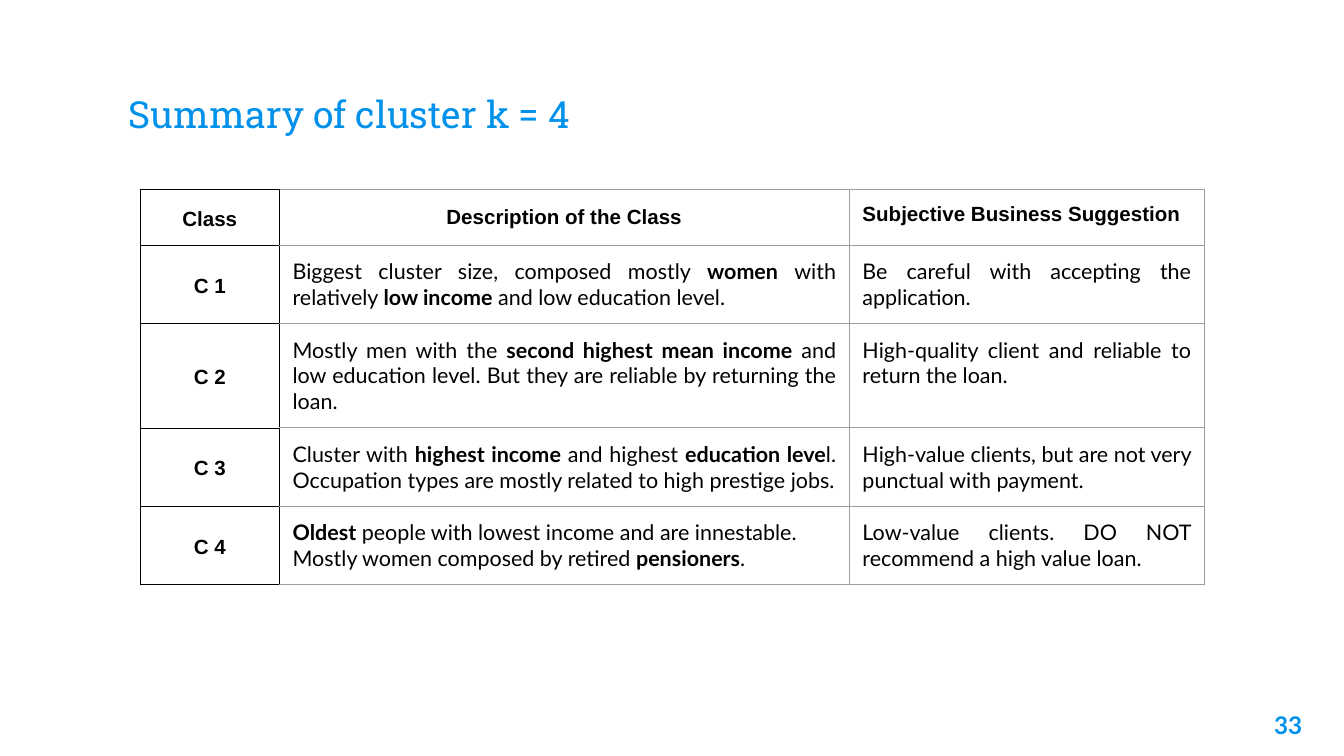
import pptx
import pptx.dml.color
import pptx.enum.text
import pptx.oxml
import pptx.oxml.ns
import pptx.util
from pptx.util import Cm

ALIGN = pptx.enum.text.PP_ALIGN
ANCHOR = pptx.enum.text.MSO_ANCHOR
BLUE, BLACK, GREY, WHITE = "0091EA", "000000", "9E9E9E", "FFFFFF"
INSET = Cm(0.25)

HEADERS = ["Class", "Description of the Class", "Subjective Business Suggestion"]
CLASSES = [
    ("C 1",
     "Biggest cluster size, composed mostly **women **with relatively **low income** and low education level.",
     "Be careful with accepting the application."),
    ("C 2",
     "Mostly men with the **second highest mean income** and low education level. "
     "But they are reliable by returning the loan.",
     "High-quality client and reliable to return the loan."),
    ("C 3",
     "Cluster with **highest income** and highest **education leve**l. "
     "Occupation types are mostly related to high prestige jobs.",
     "High-value clients, but are not very punctual with payment."),
    ("C 4",
     "**Oldest** people with lowest income and are innestable.\n"
     "Mostly women composed by retired **pensioners**.",
     "Low-value clients. DO NOT recommend a high value loan."),
]
COLUMN_WIDTHS = [2.63, 10.77, 6.71]
ROW_HEIGHTS = [1.06, 1.48, 1.97, 1.48, 1.48]


def rgb(value):
    return pptx.dml.color.RGBColor.from_string(value)


def write(tf, text, font="Lato", size=11.5, color=BLACK, bold=False,
          align=ALIGN.LEFT, spacing=1.0):
    for i, line in enumerate(text.split("\n")):
        p = tf.paragraphs[0] if i == 0 else tf.add_paragraph()
        p.alignment = align
        p.line_spacing = spacing
        for j, part in enumerate(line.split("**")):
            if part:
                r = p.add_run()
                r.text = part
                r.font.name = font
                r.font.size = pptx.util.Pt(size)
                r.font.bold = bold or j % 2 == 1
                r.font.color.rgb = rgb(color)


def set_frame(tf, anchor):
    tf.word_wrap = True
    tf.auto_size = pptx.enum.text.MSO_AUTO_SIZE.NONE
    tf.vertical_anchor = anchor
    tf.margin_left = tf.margin_right = tf.margin_top = tf.margin_bottom = INSET


def set_border(cell, side, color, width):
    cell._tc.get_or_add_tcPr().append(pptx.oxml.parse_xml(
        f'<a:ln{side} {pptx.oxml.ns.nsdecls("a")} w="{pptx.util.Pt(width)}">'
        f'<a:solidFill><a:srgbClr val="{color}"/></a:solidFill></a:ln{side}>'))


def format_cell(cell, row, column):
    for side in "LRTB":
        dark = column == 0 or (column == 1 and side == "L")
        set_border(cell, side, *((BLACK, 0.45) if dark else (GREY, 0.75)))
    cell.fill.solid()
    cell.fill.fore_color.rgb = rgb(WHITE)
    across, down = (Cm(0.08), Cm(0.05)) if column == 0 else (INSET, INSET)
    cell.margin_left = cell.margin_right = across
    cell.margin_top = cell.margin_bottom = down
    centred = column == 0 or (row == 0 and column == 1)
    cell.vertical_anchor = ANCHOR.MIDDLE if centred else ANCHOR.TOP


def text_format(row, column):
    if column == 0:
        return dict(font="Arial", size=11, bold=True, align=ALIGN.CENTER, spacing=1.15)
    if row == 0:
        align = ALIGN.CENTER if column == 1 else ALIGN.LEFT
        return dict(font="Arial", size=11, bold=True, align=align)
    return dict(align=ALIGN.JUSTIFY)


def add_title(s, text, left, top, width, height):
    sp = s.shapes.title
    sp.left, sp.top, sp.width, sp.height = left, top, width, height
    set_frame(sp.text_frame, ANCHOR.BOTTOM)
    write(sp.text_frame, text, font="Roboto Slab", size=20, color=BLUE)


def add_page_number(s, text, left, top, width, height):
    sp = s.shapes.add_textbox(left, top, width, height)
    set_frame(sp.text_frame, ANCHOR.TOP)
    write(sp.text_frame, text, size=13, color=BLUE, bold=True, align=ALIGN.RIGHT)


def add_class_table(s, rows, left, top, width, height):
    table = s.shapes.add_table(len(rows), len(rows[0]), left, top, width, height).table
    table.first_row = table.horz_banding = False
    for column, share in zip(table.columns, COLUMN_WIDTHS):
        column.width = int(width * share / sum(COLUMN_WIDTHS))
    for row, share in zip(table.rows, ROW_HEIGHTS):
        row.height = int(height * share / sum(ROW_HEIGHTS))
    for i, texts in enumerate(rows):
        for j, text in enumerate(texts):
            cell = table.cell(i, j)
            format_cell(cell, i, j)
            write(cell.text_frame, text, **text_format(i, j))


def main():
    prs = pptx.Presentation()
    prs.slide_width, prs.slide_height = Cm(25.4), Cm(14.29)
    s = prs.slides.add_slide(prs.slide_layouts[5])
    add_title(s, "Summary of cluster k = 4", Cm(2.18), Cm(0.86), Cm(21.03), Cm(1.96))
    add_class_table(s, [HEADERS, *CLASSES], Cm(2.65), Cm(3.58), Cm(20.11), Cm(7.47))
    add_page_number(s, "33", Cm(23.34), Cm(13.18), Cm(1.52), Cm(1.09))
    prs.save("out.pptx")


if __name__ == "__main__":
    main()
